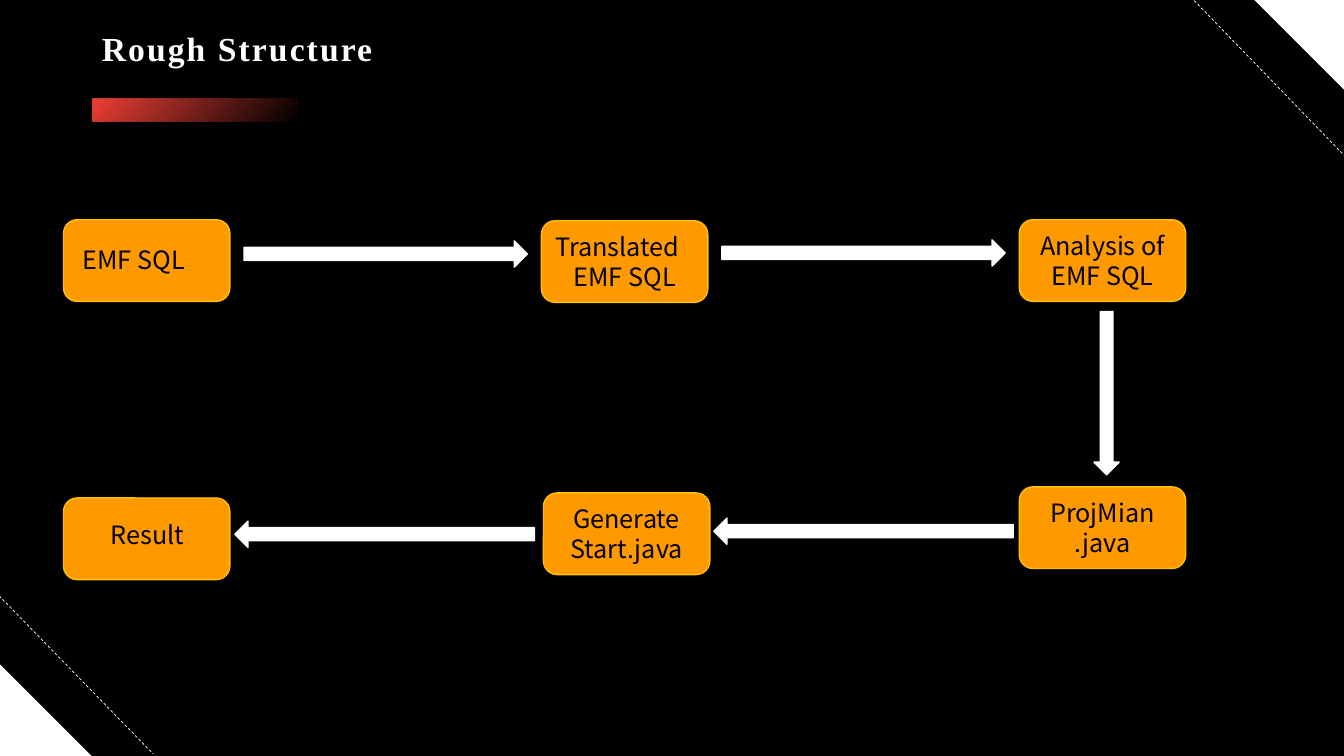
"""Builds the Rough Structure flow slide."""
from lxml.etree import SubElement
from pptx import Presentation
from pptx.dml.color import RGBColor
from pptx.enum.dml import MSO_LINE
from pptx.enum.shapes import MSO_CONNECTOR, MSO_SHAPE
from pptx.enum.text import MSO_ANCHOR, PP_ALIGN
from pptx.oxml.ns import qn
from pptx.util import Inches, Pt

BLACK, WHITE, RED, ORANGE, GOLD = "000000", "FFFFFF", "EE4036", "FF9900", "FFC000"
BODY_FONT = "Noto Sans CJK JP"
BOX_W, BOX_H = 1.65, 0.81

BOXES = [
    (0.63, 2.18, []),
    (5.37, 2.19, ["Translated", "EMF SQL"]),
    (10.11, 2.18, ["Analysis of EMF SQL"]),
    (10.11, 4.83, ["ProjMian", ".java"]),
    (5.39, 4.89, ["Generate", "Start.java"]),
    (0.63, 4.94, []),
]
LABELS = [
    (0.72, 2.37, "EMF SQL", PP_ALIGN.LEFT),
    (0.68, 5.1, "Result", PP_ALIGN.CENTER),
]
ARROWS = [
    (MSO_SHAPE.RIGHT_ARROW, 2.42, 2.39, 2.81, 0.26),
    (MSO_SHAPE.RIGHT_ARROW, 7.16, 2.38, 2.81, 0.26),
    (MSO_SHAPE.LEFT_ARROW, 2.33, 5.17, 2.97, 0.26),
    (MSO_SHAPE.LEFT_ARROW, 7.08, 5.14, 2.97, 0.26),
    (MSO_SHAPE.DOWN_ARROW, 10.85, 3.09, 0.25, 1.62),
]
CORNERS = [(0, 6.59, 0), (12.43, -0.01, 180)]
DASHES = [(-0.01, 5.91, 1.52, 7.48), (11.81, -0.03, 13.34, 1.55)]


def rgb(color):
    return RGBColor.from_string(color)


def add_text(tf, lines, size=18, font=BODY_FONT, color=BLACK, bold=False,
             align=PP_ALIGN.CENTER, anchor=MSO_ANCHOR.MIDDLE):
    tf.word_wrap = True
    tf.vertical_anchor = anchor
    for i, line in enumerate(lines):
        p = tf.add_paragraph() if i else tf.paragraphs[0]
        p.alignment = align
        r = p.add_run()
        r.text = line
        r.font.size, r.font.name, r.font.bold = Pt(size), font, bold
        r.font.color.rgb = rgb(color)


def add_block(s, kind, x, y, w, h, fill, line=None):
    sp = s.shapes.add_shape(kind, Inches(x), Inches(y), Inches(w), Inches(h))
    sp.shadow.inherit = False
    sp.fill.solid()
    sp.fill.fore_color.rgb = rgb(fill)
    if line:
        sp.line.color.rgb = rgb(line)
        sp.line.width = Pt(1)
    else:
        sp.line.fill.background()
    return sp


def add_decor(s):
    for x, y, turn in CORNERS:
        add_block(s, MSO_SHAPE.RIGHT_TRIANGLE, x, y, 0.91, 0.91, WHITE).rotation = turn
    for ends in DASHES:
        dash = s.shapes.add_connector(MSO_CONNECTOR.STRAIGHT, *map(Inches, ends))
        dash.line.color.rgb = rgb(WHITE)
        dash.line.width = Pt(0.5)
        dash.line.dash_style = MSO_LINE.DASH
        SubElement(dash.element.spPr, qn("a:effectLst"))
    bar = add_block(s, MSO_SHAPE.RECTANGLE, 0.92, 0.98, 2.04, 0.23, RED)
    bar.fill.gradient()
    bar.fill.gradient_angle = 320
    for stop, position in zip(bar.fill.gradient_stops, (0, 0.99)):
        stop.color.rgb = rgb(RED)
        stop.position = position
    clear = bar.element.spPr.findall(".//" + qn("a:srgbClr"))[-1]
    SubElement(clear, qn("a:alpha"), val="0")


def add_title(s):
    title = s.shapes.title
    title.left, title.top, title.width, title.height = map(Inches, (0.91, 0.18, 11.51, 0.64))
    add_text(title.text_frame, ["Rough Structure"], size=24, font="Times New Roman",
             color=WHITE, bold=True, align=PP_ALIGN.LEFT)
    p = title.text_frame.paragraphs[0]
    p.line_spacing = 0.9
    p.runs[0].font._element.set("spc", "150")


def add_flow(s):
    for x, y, lines in BOXES:
        sp = add_block(s, MSO_SHAPE.ROUNDED_RECTANGLE, x, y, BOX_W, BOX_H, ORANGE, GOLD)
        add_text(sp.text_frame, lines)
        if lines[:1] == ["Translated"]:
            first, second = sp.text_frame.paragraphs
            first._p.get_or_add_pPr().set("marR", str(Inches(0.14)))
            second._p.get_or_add_pPr().set("marL", str(Inches(0.14)))
    for kind, *frame in ARROWS:
        add_block(s, kind, *frame, WHITE, WHITE)
    for x, y, label, align in LABELS:
        tb = s.shapes.add_textbox(Inches(x), Inches(y), Inches(1.57), Inches(0.4))
        add_text(tb.text_frame, [label], align=align, anchor=MSO_ANCHOR.TOP)


def main():
    prs = Presentation()
    prs.slide_width, prs.slide_height = Inches(13.33), Inches(7.5)
    s = prs.slides.add_slide(prs.slide_layouts[5])
    s.background.fill.solid()
    s.background.fill.fore_color.rgb = rgb(BLACK)
    add_decor(s)
    add_title(s)
    add_flow(s)
    prs.save("out.pptx")


if __name__ == "__main__":
    main()
